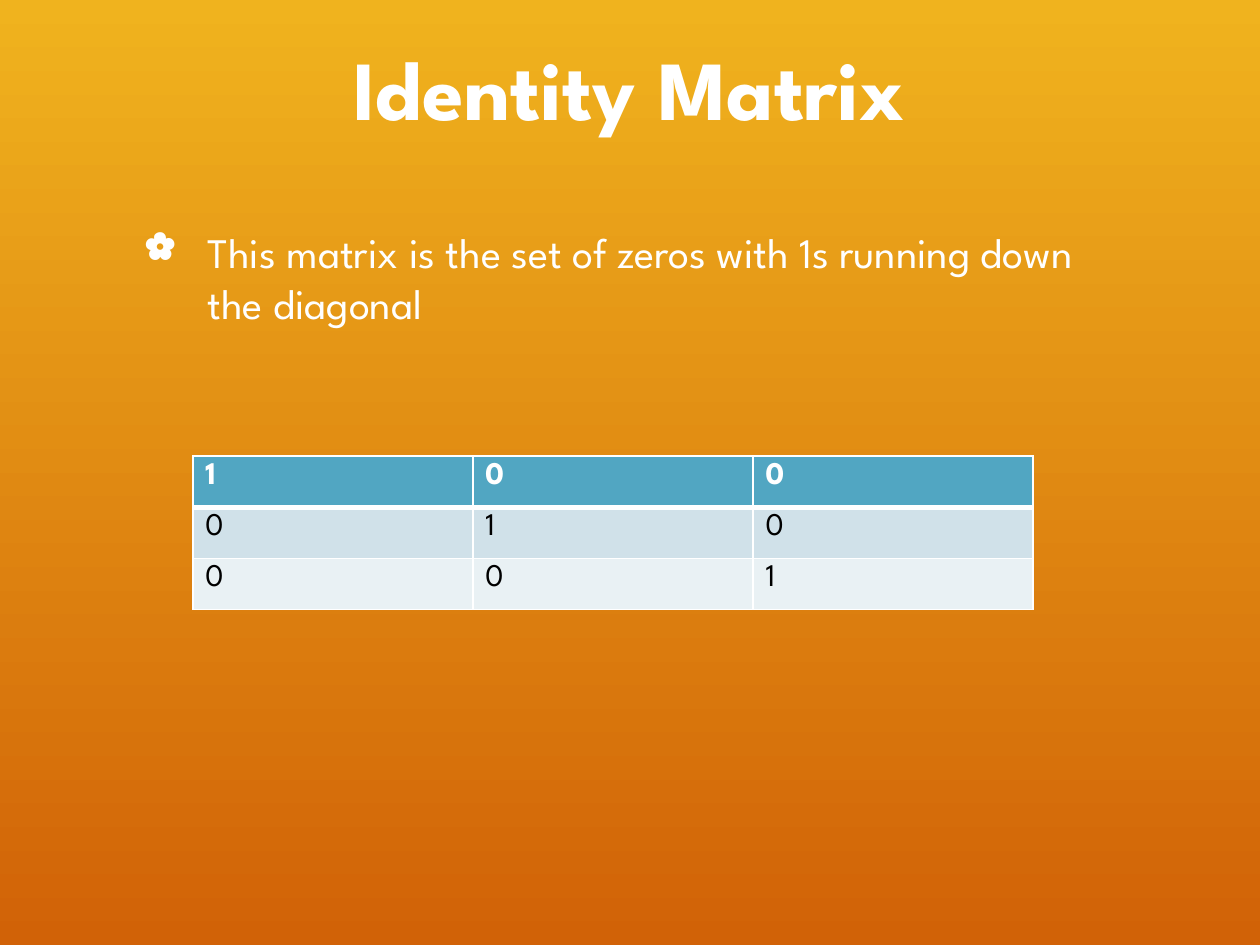
from dataclasses import dataclass

from lxml.etree import SubElement
from pptx import Presentation
from pptx.dml.color import RGBColor
from pptx.enum.text import MSO_ANCHOR, PP_ALIGN
from pptx.oxml.ns import qn
from pptx.util import Inches, Pt


@dataclass(frozen=True)
class Theme:
    font: str = "League Spartan"
    light: str = "FFFFFF"
    dark: str = "000000"
    sky: tuple = ("F0B31E", "D16207")
    header_fill: str = "51A6C2"
    bands: tuple = ("D0E1E9", "E9F1F4")
    title_size: int = 48
    body_size: int = 24
    cell_size: int = 18


THEME = Theme()


def style(para, size, color, bold=False):
    para.font.name = THEME.font
    para.font.size = Pt(size)
    para.font.bold = bold
    para.font.color.rgb = RGBColor.from_string(color)


def paint_background(page):
    fill = page.background.fill
    fill.gradient()
    fill.gradient_angle = 270
    for stop, color in zip(fill.gradient_stops, THEME.sky):
        stop.color.rgb = RGBColor.from_string(color)


def add_text(page, box, text, anchor):
    frame = page.shapes.add_textbox(*map(Inches, box)).text_frame
    frame.word_wrap = True
    frame.vertical_anchor = anchor
    para = frame.paragraphs[0]
    para.text = text
    return para


def add_title(page, box, text):
    para = add_text(page, box, text, MSO_ANCHOR.MIDDLE)
    para.alignment = PP_ALIGN.CENTER
    para.line_spacing = 0.95
    style(para, THEME.title_size, THEME.light, bold=True)


def add_bullet(page, box, text):
    para = add_text(page, box, text, MSO_ANCHOR.TOP)
    para.space_before = Pt(20)
    style(para, THEME.body_size, THEME.light)
    # Hanging flower bullet
    props = para._p.get_or_add_pPr()
    props.set("marL", str(Inches(0.5)))
    props.set("indent", str(Inches(-0.5)))
    size = SubElement(props, qn("a:buSzPct"), val="90000")
    mark = SubElement(props, qn("a:buChar"), char="✿")
    props.find(qn("a:spcBef")).addnext(size)
    size.addnext(mark)


def set_borders(cell, widths):
    props = cell._tc.get_or_add_tcPr()
    for position, (side, width) in enumerate(widths.items()):
        line = SubElement(props, qn(f"a:ln{side}"), w=str(Pt(width)))
        fill = SubElement(line, qn("a:solidFill"))
        SubElement(fill, qn("a:srgbClr"), val=THEME.light)
        props.insert(position, line)


def add_identity_table(page, box, size):
    table = page.shapes.add_table(size, size, *map(Inches, box)).table
    for row in range(size):
        header = row == 0
        fill = THEME.header_fill if header else THEME.bands[(row - 1) % 2]
        for column in range(size):
            cell = table.cell(row, column)
            cell.text = str(int(row == column))
            style(cell.text_frame.paragraphs[0], THEME.cell_size,
                  THEME.light if header else THEME.dark, bold=header)
            cell.fill.solid()
            cell.fill.fore_color.rgb = RGBColor.from_string(fill)
            # Thick rule between the header and the body
            set_borders(cell, {"L": 1, "R": 1, "T": 3 if row == 1 else 1,
                               "B": 3 if header else 1})


deck = Presentation()
deck.slide_width, deck.slide_height = Inches(10), Inches(7.5)
page = deck.slides.add_slide(deck.slide_layouts[6])

paint_background(page)
add_title(page, (0.85, 0.1, 8.29, 1.25), "Identity Matrix")
add_bullet(page, (1.05, 1.75, 7.91, 4.69),
           "This matrix is the set of zeros with 1s running down the diagonal")
add_identity_table(page, (1.53, 3.62, 6.67, 1.22), size=3)

deck.save("out.pptx")
